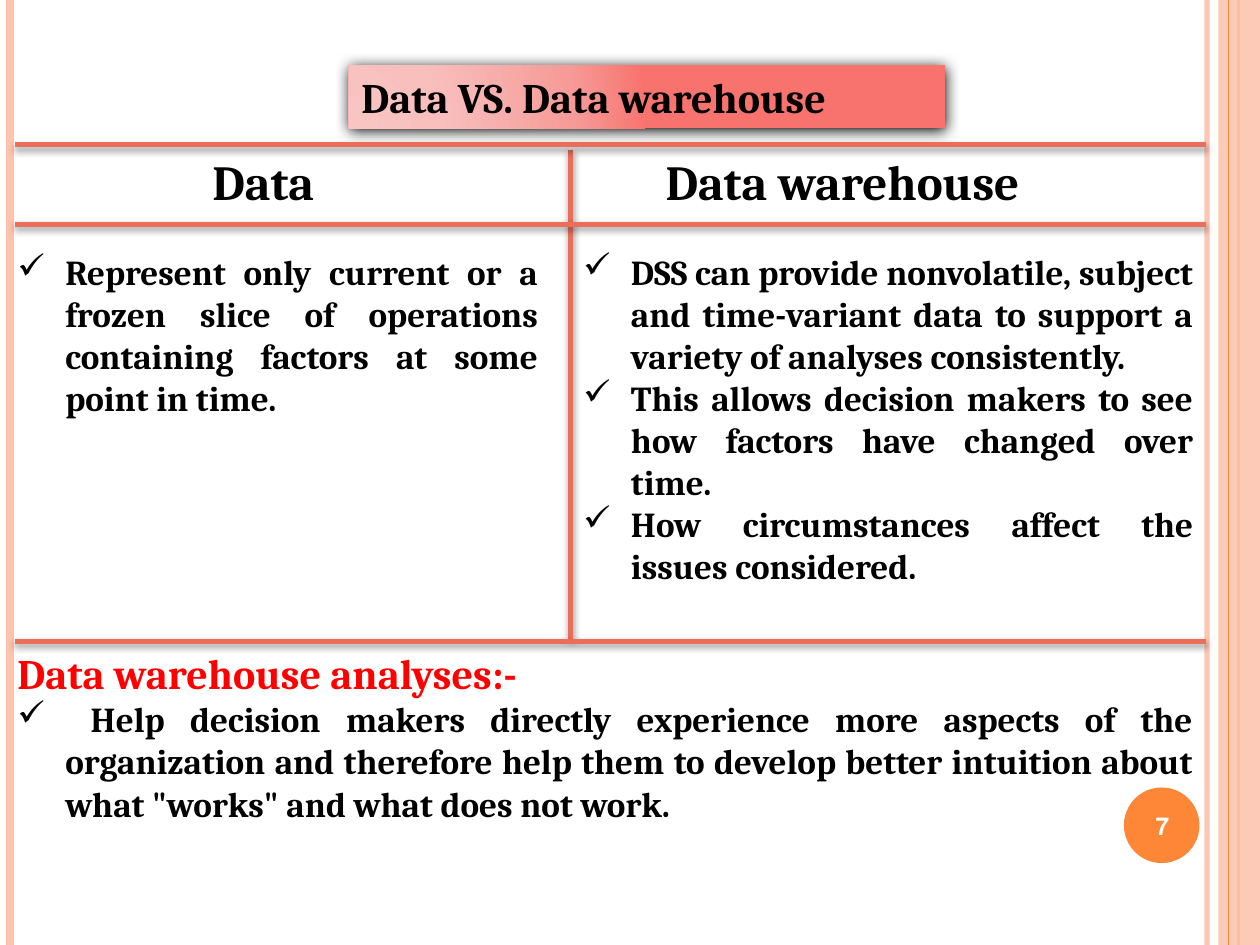
from lxml.etree import SubElement
from pptx import Presentation
from pptx.dml.color import RGBColor
from pptx.enum.shapes import MSO_CONNECTOR, MSO_SHAPE
from pptx.enum.text import MSO_ANCHOR, MSO_AUTO_SIZE, PP_ALIGN
from pptx.oxml import parse_xml
from pptx.oxml.ns import nsdecls, qn
from pptx.util import Inches, Pt

COLORS = {
    "peach": "FEC3AE", "orange": "FE8637", "coral": "EB6E5A",
    "black": "000000", "white": "FFFFFF", "red": "FF0000",
}
TITLE_STOPS = [(0, "F8C5C3"), (30, "F8BFBD"), (75, "F69B98"), (100, "F8736E")]
FONT = "Cambria"
RULE_LEFT, RULE_RIGHT, DIVIDER_X = 0.12, 9.57, 4.53
RULE_YS = (1.15, 1.78, 5.09)
DATA_POINTS = [
    "Represent only current or a frozen slice of operations containing factors at some point in time.",
]
WAREHOUSE_POINTS = [
    "DSS can provide nonvolatile, subject and time-variant data to support a variety of analyses consistently.",
    "This allows decision makers to see how factors have changed over time.",
    "How circumstances affect the issues considered.",
]
ANALYSES_POINT = (
    " Help decision makers directly experience more aspects of the organization and therefore "
    'help them to develop better intuition about what "works" and what does not work.'
)


def rgb(name):
    """Return the palette colour with this name."""
    return RGBColor.from_string(COLORS[name])


def set_alpha(fill_parent, percent):
    """Make the solid fill inside an element partly transparent."""
    color = fill_parent.find(qn("a:solidFill"))[0]
    SubElement(color, qn("a:alpha"), val=str(percent * 1000))


def add_effects(element, blur=0, distance=0, alpha=0):
    """Give an element a downward shadow, or none when alpha is zero."""
    shadow = (
        f'<a:outerShdw blurRad="{Pt(blur)}" dist="{Pt(distance)}" dir="5400000" rotWithShape="0">'
        f'<a:srgbClr val="{COLORS["black"]}"><a:alpha val="{alpha * 1000}"/></a:srgbClr>'
        "</a:outerShdw>"
    ) if alpha else ""
    element.spPr.append(parse_xml(f'<a:effectLst {nsdecls("a")}>{shadow}</a:effectLst>'))


def add_line(slide, start, end, color, width, alpha=None, shadow=None):
    """Draw a straight line between two points."""
    line = slide.shapes.add_connector(
        MSO_CONNECTOR.STRAIGHT, *(Inches(value) for value in (*start, *end)))
    line.line.color.rgb = rgb(color)
    line.line.width = Pt(width)
    if alpha:
        set_alpha(line.line._get_or_add_ln(), alpha)
    add_effects(line._element, **(shadow or {}))


def add_preset(slide, kind, box, color, alpha=None):
    """Draw a borderless filled shape without shadow."""
    shape = slide.shapes.add_shape(kind, *map(Inches, box))
    shape.fill.solid()
    shape.fill.fore_color.rgb = rgb(color)
    shape.line.fill.background()
    if alpha:
        set_alpha(shape._element.spPr, alpha)
    shape.shadow.inherit = False
    return shape


def add_text_box(slide, box, grow=True):
    """Add a wrapping text box and return its frame."""
    frame = slide.shapes.add_textbox(*map(Inches, box)).text_frame
    frame.word_wrap = True
    frame.auto_size = MSO_AUTO_SIZE.SHAPE_TO_FIT_TEXT if grow else MSO_AUTO_SIZE.NONE
    return frame


def write(frame, text, size=20, color="black", align=PP_ALIGN.JUSTIFY, bullet=False, rtl=False):
    """Write one formatted paragraph, after any text already in the frame."""
    paragraph = frame.add_paragraph() if frame.text else frame.paragraphs[0]
    paragraph.alignment = align
    properties = paragraph._p.get_or_add_pPr()
    if rtl:
        properties.set("rtl", "1")
    if bullet:
        indent = Inches(0.38)
        properties.set("marL", str(indent))
        properties.set("indent", str(-indent))
        SubElement(properties, qn("a:buChar"), char="✓")
    run = paragraph.add_run()
    run.text = text
    run.font.name = FONT
    run.font.size = Pt(size)
    run.font.bold = True
    run.font.color.rgb = rgb(color)


def add_side_bands(slide):
    """Draw the vertical stripes along both slide edges."""
    def stripe(x, color, width, alpha=None):
        add_line(slide, (x, 0), (x, 7.5), color, width, alpha)

    stripe(9.58, "peach", 3, 93)
    stripe(0.08, "peach", 4.5)
    stripe(9.83, "orange", 1.5)
    add_preset(slide, MSO_SHAPE.RECTANGLE, (9.67, 0, 0.33, 7.5), "peach", 87)
    stripe(9.75, "orange", 0.75)


def add_title(slide):
    """Draw the shadowed gradient title bar."""
    bar = add_preset(slide, MSO_SHAPE.RECTANGLE, (2.77, 0.52, 4.73, 0.5), "coral")
    properties = bar._element.spPr
    stops = "".join(
        f'<a:gs pos="{position * 1000}"><a:srgbClr val="{color}"/></a:gs>'
        for position, color in TITLE_STOPS)
    gradient = parse_xml(
        f'<a:gradFill {nsdecls("a")} rotWithShape="1"><a:gsLst>{stops}</a:gsLst>'
        '<a:path path="circle"><a:fillToRect l="5000" t="100000" r="120000" b="10000"/></a:path>'
        "</a:gradFill>")
    properties.replace(properties.find(qn("a:solidFill")), gradient)
    properties.remove(properties.find(qn("a:effectLst")))
    add_effects(bar._element, blur=8.5, distance=1, alpha=100)
    frame = bar.text_frame
    frame.word_wrap = False
    frame.auto_size = MSO_AUTO_SIZE.SHAPE_TO_FIT_TEXT
    frame.vertical_anchor = MSO_ANCHOR.TOP
    write(frame, "Data VS. Data warehouse", size=24, align=PP_ALIGN.LEFT)


def add_column(slide, heading, heading_box, points, points_box):
    """Write one side of the comparison."""
    write(add_text_box(slide, heading_box), heading, size=28, align=PP_ALIGN.CENTER)
    frame = add_text_box(slide, points_box)
    for point in points:
        write(frame, point, bullet=True)


def add_comparison_rules(slide):
    """Draw the divider and the horizontal rules of the comparison."""
    style = dict(color="coral", width=2.75, shadow=dict(blur=4, distance=1.6, alpha=42))
    add_line(slide, (DIVIDER_X, 1.19), (DIVIDER_X, 5.07), **style)
    for y in RULE_YS:
        add_line(slide, (RULE_RIGHT, y), (RULE_LEFT, y), **style)


def add_page_number(slide):
    """Write the page number over its disc."""
    frame = add_text_box(slide, (8.89, 6.27, 0.67, 0.57), grow=False)
    frame.vertical_anchor = MSO_ANCHOR.MIDDLE
    write(frame, "7", size=14, color="white", align=PP_ALIGN.CENTER, rtl=True)


def add_analyses(slide):
    """Write the closing section on analyses."""
    frame = add_text_box(slide, (0.04, 5.09, 9.53, 1.51))
    write(frame, "Data warehouse analyses:-", size=24, color="red")
    write(frame, ANALYSES_POINT, bullet=True)


def main():
    """Build the slide and save it."""
    deck = Presentation()
    deck.slide_width, deck.slide_height = Inches(10), Inches(7.5)
    slide = deck.slides.add_slide(deck.slide_layouts[6])
    add_side_bands(slide)
    add_preset(slide, MSO_SHAPE.OVAL, (8.92, 6.25, 0.6, 0.6), "orange")
    add_title(slide)
    add_column(slide, "Data", (0.28, 1.15, 3.62, 0.57), DATA_POINTS, (0.04, 1.94, 4.33, 2.12))
    add_column(slide, "Data warehouse ", (4.13, 1.15, 5.2, 0.57),
               WAREHOUSE_POINTS, (DIVIDER_X, 1.94, 5.04, 3.13))
    add_comparison_rules(slide)
    add_page_number(slide)
    add_analyses(slide)
    deck.save("out.pptx")


if __name__ == "__main__":
    main()
